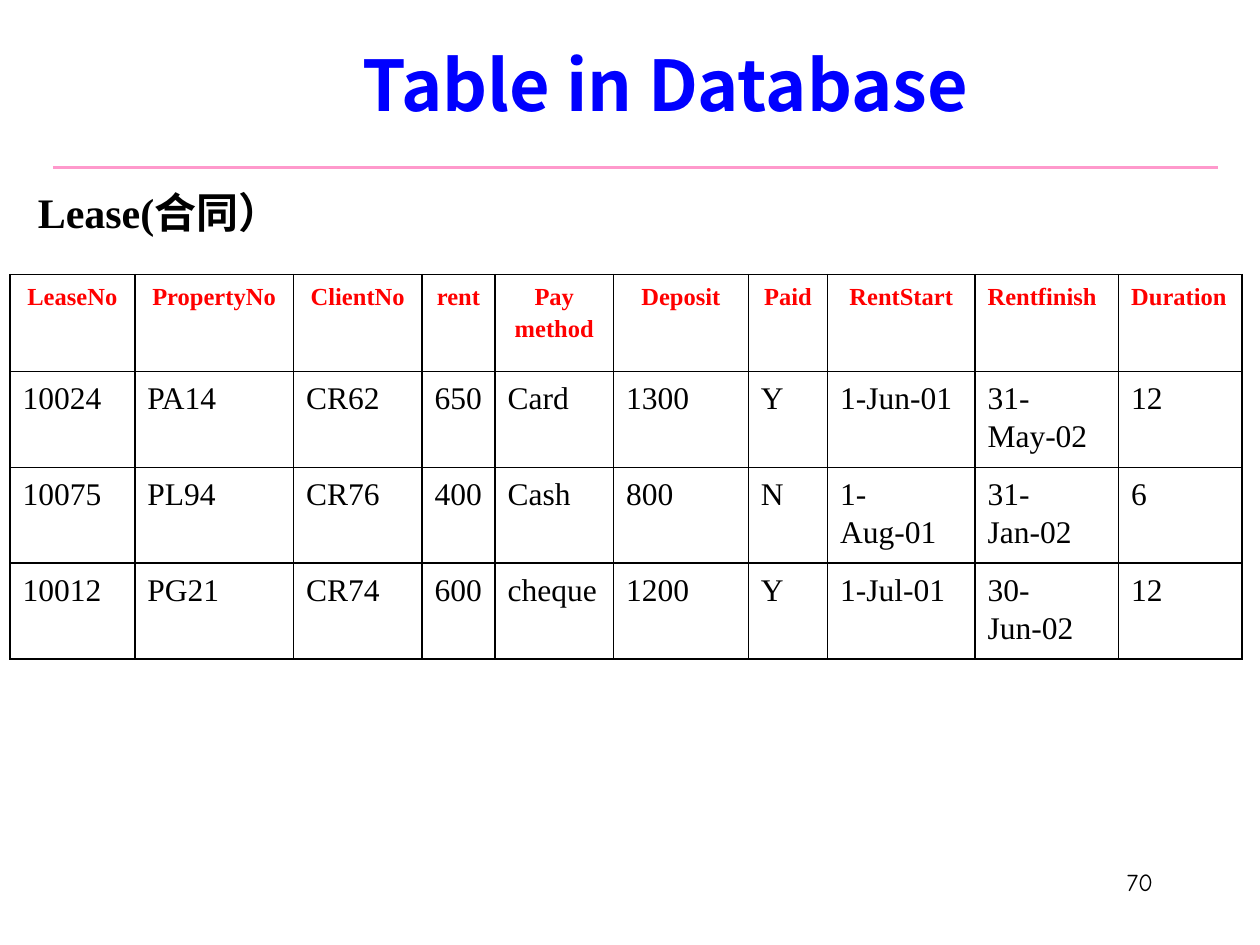
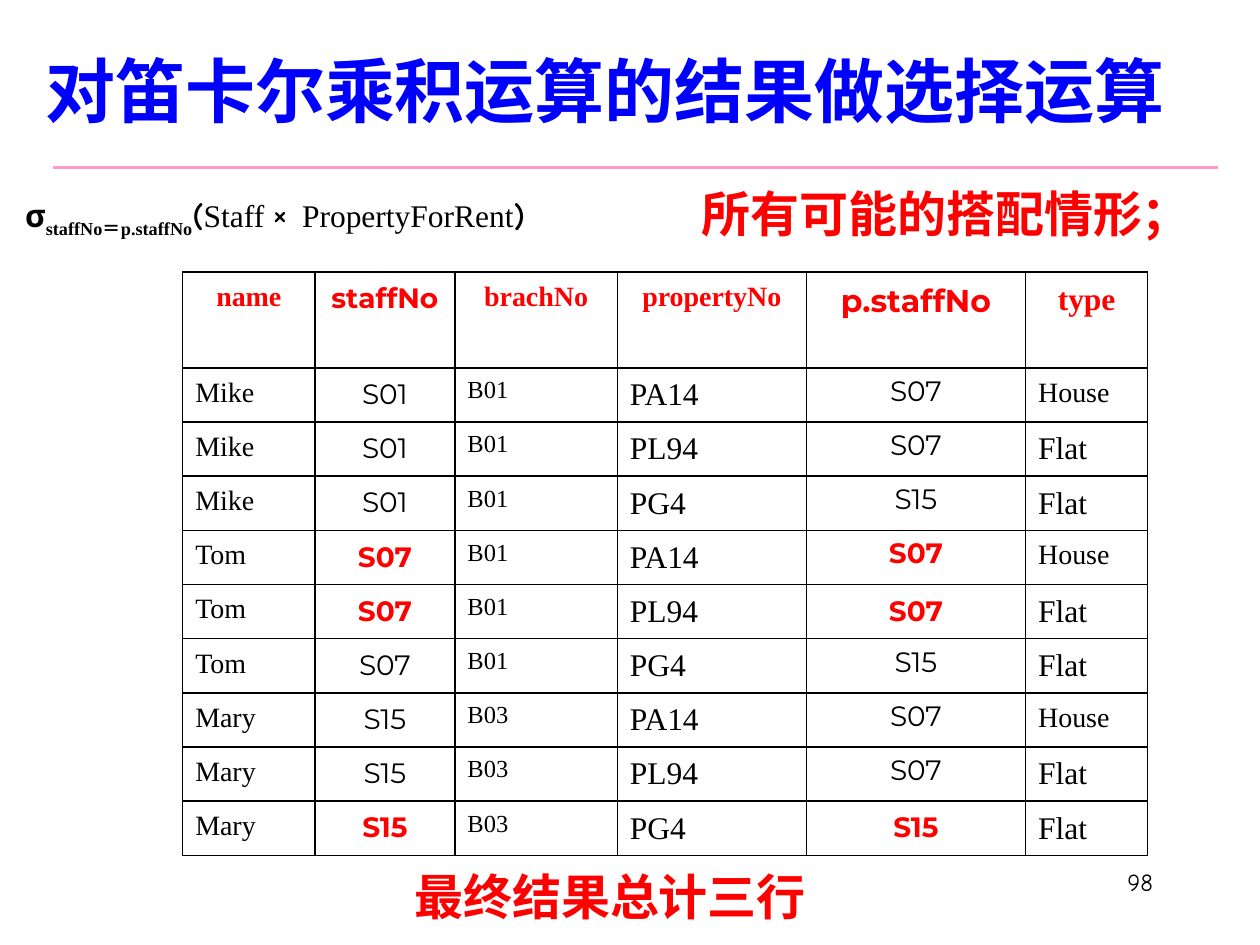
"""Build two slides on relational tables: a lease table and a filtered Cartesian product."""
import itertools

import lxml.etree
import pptx
import pptx.dml.color
import pptx.enum.shapes
import pptx.enum.text
import pptx.oxml.ns
import pptx.util

Inches, Pt = pptx.util.Inches, pptx.util.Pt
RGBColor = pptx.dml.color.RGBColor
ALIGN = pptx.enum.text.PP_ALIGN
ANCHOR = pptx.enum.text.MSO_ANCHOR
qn = pptx.oxml.ns.qn

BLACK = RGBColor(0x00, 0x00, 0x00)
RED = RGBColor(0xFF, 0x00, 0x00)
BLUE = RGBColor(0x00, 0x00, 0xFF)
PINK = RGBColor(0xFF, 0x99, 0xCC)
SERIF, SANS, COMIC, CJK = "Times New Roman", "Montserrat", "Comic Neue", "Noto Sans CJK SC"


def style(size, name=SERIF, color=BLACK, bold=False):
    return {"size": Pt(size), "name": name, "color": color, "bold": bold}


TITLE = style(40, CJK, BLUE, True)
REMARK = style(28, CJK, RED, True)
PAGE_NUMBER = style(14, COMIC)

LEASE_HEADING = "Lease(合同）"
LEASE_COLUMNS = [
    ("LeaseNo", 0.99), ("PropertyNo", 1.26), ("ClientNo", 1.02), ("rent", 0.58),
    ("Pay\nmethod", 0.94), ("Deposit", 1.07), ("Paid", 0.63), ("RentStart", 1.17),
    ("Rentfinish", 1.14), ("Duration", 0.98),
]
LEFT_HEADERS = ("Rentfinish", "Duration")
LEASES = [
    ("10024", "PA14", "CR62", "650", "Card", "1300", "Y", "1-Jun-01", "31-May-02", "12"),
    ("10075", "PL94", "CR76", "400", "Cash", "800", "N", "1-Aug-01", "31-Jan-02", "6"),
    ("10012", "PG21", "CR74", "600", "cheque", "1200", "Y", "1-Jul-01", "30-Jun-02", "12"),
]

PRODUCT_COLUMNS = [
    ("name", 1.05, 16, SERIF), ("staffNo", 1.11, 16, SANS), ("brachNo", 1.29, 16, SERIF),
    ("propertyNo", 1.5, 16, SERIF), ("p.staffNo", 1.74, 18, SANS), ("type", 0.97, 18, SERIF),
]
STAFF = [("Mike", "S01", "B01"), ("Tom", "S07", "B01"), ("Mary", "S15", "B03")]
PROPERTIES = [("PA14", "S07", "House"), ("PL94", "S07", "Flat"), ("PG4", "S15", "Flat")]
FORMULA = [
    ("σ", style(18, COMIC, bold=True), 0),
    ("staffNo＝p.staffNo", style(18, bold=True), -25),
    ("(", style(18, COMIC, bold=True), 0),
    ("Staff ", style(18), 0),
    ("× ", style(24, COMIC), 0),
    ("PropertyForRent", style(18), 0),
    (")", style(18, COMIC, bold=True), 0),
]


def add_span(para, text, values, baseline=0):
    span = para.add_run()
    span.text = text
    for key, value in values.items():
        if key == "color":
            span.font.color.rgb = value
        else:
            setattr(span.font, key, value)
    props = span.font._element
    east = lxml.etree.Element(qn("a:ea"), typeface=CJK)
    props.find(qn("a:latin")).addnext(east)
    if baseline:
        props.set("baseline", str(baseline * 1000))


def write(frame, text, values, align=ALIGN.LEFT, spacing=1.0):
    for index, line in enumerate(text.split("\n")):
        para = frame.add_paragraph() if index else frame.paragraphs[0]
        para.alignment = align
        para.line_spacing = spacing
        para.space_before = values["size"] // 10 if index else 0
        add_span(para, line, values)


def place(shape, left, top, width, height):
    for key, value in zip(("left", "top", "width", "height"), (left, top, width, height)):
        setattr(shape, key, Inches(value))


def prepare(shape, wrap=True, anchor=ANCHOR.TOP):
    frame = shape.text_frame
    settings = {"word_wrap": wrap, "vertical_anchor": anchor,
                "auto_size": pptx.enum.text.MSO_AUTO_SIZE.NONE}
    for key, value in settings.items():
        setattr(frame, key, value)
    return frame


def add_text(page, bounds, text, values, align=ALIGN.LEFT, wrap=True, anchor=ANCHOR.TOP):
    box = page.shapes.add_textbox(*map(Inches, bounds))
    write(prepare(box, wrap, anchor), text, values, align)


def set_title(page, bounds, text, values, align):
    place(page.shapes.title, *bounds)
    write(prepare(page.shapes.title, anchor=ANCHOR.MIDDLE), text, values, align)


def add_page(deck, layout, number):
    page = deck.slides.add_slide(deck.slide_layouts[layout])
    rule = page.shapes.add_connector(
        pptx.enum.shapes.MSO_CONNECTOR.STRAIGHT,
        Inches(0.42), Inches(1.33), Inches(9.67), Inches(1.33))
    rule.line.color.rgb = PINK
    rule.line.width = Pt(1.5)
    lxml.etree.SubElement(rule._element.spPr, qn("a:effectLst"))
    add_text(page, (7.17, 6.83, 2.08, 0.5), str(number), PAGE_NUMBER, ALIGN.RIGHT)
    return page


def add_borders(cell):
    props = cell._tc.get_or_add_tcPr()
    for index, side in enumerate(("lnL", "lnR", "lnT", "lnB")):
        line = lxml.etree.Element(qn(f"a:{side}"), w=str(Pt(1)))
        fill = lxml.etree.SubElement(line, qn("a:solidFill"))
        lxml.etree.SubElement(fill, qn("a:srgbClr"), val=str(BLACK))
        props.insert(index, line)


def add_grid(page, left, top, widths, heights, rows):
    frame = page.shapes.add_table(
        len(rows), len(widths), Inches(left), Inches(top),
        Inches(sum(widths)), Inches(sum(heights)))
    table = frame.table
    table.first_row = table.horz_banding = False
    for column, width in zip(table.columns, widths):
        column.width = Inches(width)
    for row, height, contents in zip(table.rows, heights, rows):
        row.height = Inches(height)
        for cell, content in zip(row.cells, contents):
            cell.fill.background()
            add_borders(cell)
            write(cell.text_frame, *content)


def product_row(person, home):
    name, staff_no, branch = person
    property_no, home_staff, kind = home
    match = staff_no == home_staff
    key = style(16, SANS, RED if match else BLACK, match)
    key_spacing = 1.1 if match and kind == "Flat" else 1.0
    return [
        (name, style(16), ALIGN.LEFT, 1.1),
        (staff_no, key, ALIGN.CENTER, 1.1),
        (branch, style(14), ALIGN.LEFT, 1.1),
        (property_no, style(18), ALIGN.LEFT, 1.1),
        (home_staff, key, ALIGN.CENTER, key_spacing),
        (kind, style(16 if kind == "House" else 18), ALIGN.LEFT, 1.1),
    ]


def build_lease(deck):
    page = add_page(deck, 5, 70)
    set_title(page, (0.2, 1.31, 8.5, 0.74), LEASE_HEADING, style(24, bold=True), ALIGN.LEFT)
    header = [(name, style(14, color=RED, bold=True),
               ALIGN.LEFT if name in LEFT_HEADERS else ALIGN.CENTER, 1.1)
              for name, _ in LEASE_COLUMNS]
    body = [[(value, style(18), ALIGN.LEFT, 1.1) for value in lease] for lease in LEASES]
    add_grid(page, 0.08, 2.18, [width for _, width in LEASE_COLUMNS],
             [0.77] + [0.76] * len(LEASES), [header] + body)
    add_text(page, (1.42, 0.25, 7.72, 0.82), "Table in Database", TITLE,
             ALIGN.CENTER, anchor=ANCHOR.MIDDLE)


def build_product(deck):
    page = add_page(deck, 1, 98)
    set_title(page, (0.1, 0.17, 9.4, 1.08), "对笛卡尔乘积运算的结果做选择运算", TITLE, ALIGN.CENTER)
    formula = page.placeholders[1]
    place(formula, 0.1, 1.42, 7.37, 0.5)
    para = prepare(formula).paragraphs[0]
    para.space_before = 0
    props = para._p.get_or_add_pPr()
    props.set("marL", str(Inches(0.38)))
    props.set("indent", str(Inches(-0.38)))
    lxml.etree.SubElement(props, qn("a:buNone"))
    for text, values, baseline in FORMULA:
        add_span(para, text, values, baseline)

    header = [(name, style(size, font, RED, True), ALIGN.CENTER, 1.1)
              for name, _, size, font in PRODUCT_COLUMNS]
    body = [product_row(*pair) for pair in itertools.product(STAFF, PROPERTIES)]
    add_grid(page, 1.45, 2.16, [column[1] for column in PRODUCT_COLUMNS],
             [0.76] + [0.43] * len(body), [header] + body)
    add_text(page, (5.47, 1.41, 4.09, 0.57), "所有可能的搭配情形；", REMARK, wrap=False)
    add_text(page, (3.19, 6.83, 3.34, 0.57), "最终结果总计三行", REMARK, wrap=False)


def main():
    deck = pptx.Presentation()
    deck.slide_width, deck.slide_height = Inches(10), Inches(7.5)
    build_lease(deck)
    build_product(deck)
    deck.save("out.pptx")


if __name__ == "__main__":
    main()
